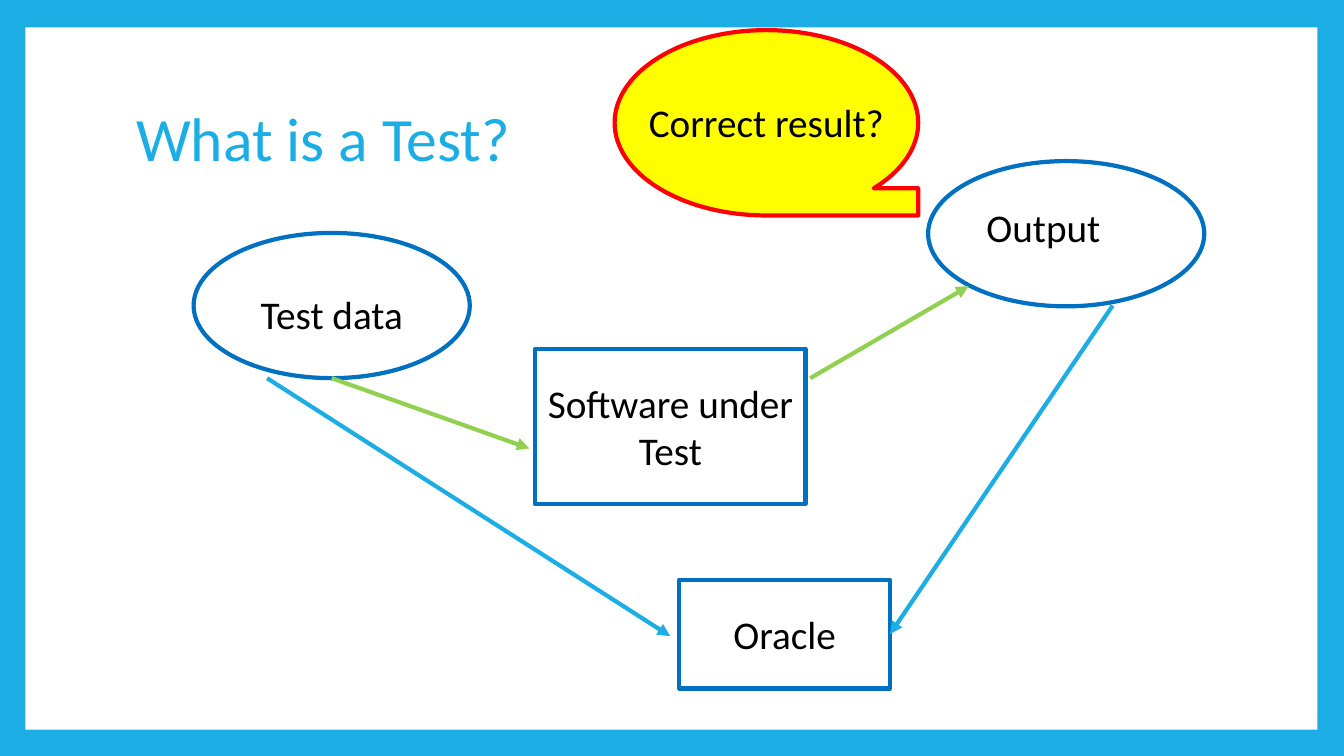
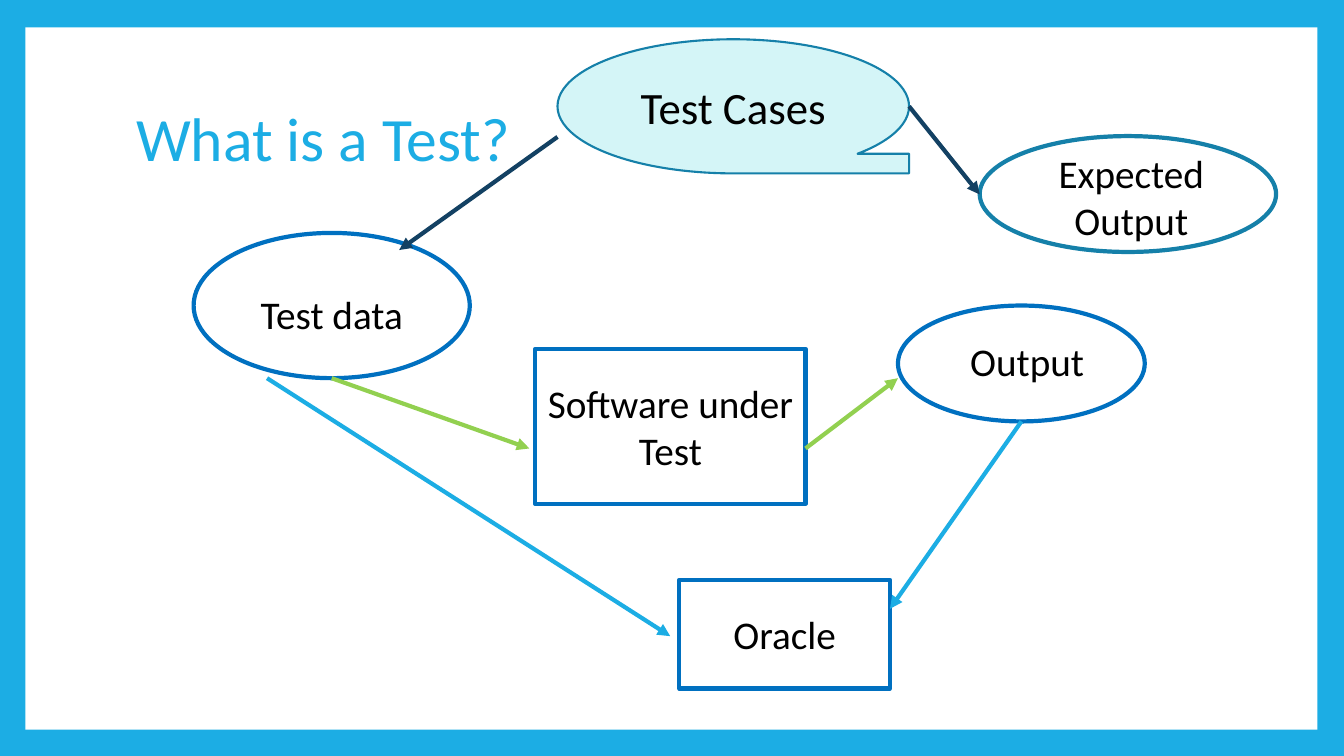
import pptx
import pptx.util
import pptx.dml.color
import pptx.enum.shapes
import pptx.enum.text
import pptx.oxml.ns
from lxml import etree

Cm, Pt = pptx.util.Cm, pptx.util.Pt
SHAPE = pptx.enum.shapes.MSO_SHAPE
STRAIGHT = pptx.enum.shapes.MSO_CONNECTOR.STRAIGHT
ALIGN = pptx.enum.text.PP_ALIGN
MIDDLE = pptx.enum.text.MSO_ANCHOR.MIDDLE
TOP = pptx.enum.text.MSO_ANCHOR.TOP

COLORS = {
    "sky": "1CADE4", "white": "FFFFFF", "black": "000000", "blue": "0070C0",
    "green": "92D050", "yellow": "FFFF00", "red": "FF0000", "teal": "1580A9",
    "aqua": "D4F5F7", "navy": "134163",
}
FONT = "Calibri"
BODY_SIZE = 28
TITLE = "What is a Test?"
TITLE_BOX = (3.18, 1.70, 27.43, 3.76)
PANEL_BOX = (0.64, 0.69, 32.56, 17.70)
RIGHT = 3

# name: (preset, box, fill, line colour, line width, text, text size)
SHARED_NODES = {
    "software": (SHAPE.RECTANGLE, (13.49, 8.79, 6.81, 3.91), "white", "blue", 3, "Software under Test", BODY_SIZE),
    "data": (SHAPE.OVAL, (4.88, 5.87, 6.96, 3.66), None, "blue", 3, "", BODY_SIZE),
    "oracle": (SHAPE.RECTANGLE, (17.12, 14.61, 5.31, 2.74), "white", "blue", 3, "Oracle", BODY_SIZE),
}
SHARED_LABELS = [("Test data", (6.20, 7.19, 4.32, 1.45))]
SHARED_ARROWS = [
    ((8.36, 9.53), (13.34, 11.30), "green"),
    ((6.73, 9.53), (16.89, 16.03), "sky"),
]

SLIDES = [
    {
        "nodes": {
            "output": (SHAPE.OVAL, (23.39, 4.06, 6.96, 3.66), None, "blue", 3, "", BODY_SIZE),
            "question": (SHAPE.FLOWCHART_SEQUENTIAL_ACCESS_STORAGE, (15.49, 0.76, 7.65, 4.67),
                         "yellow", "red", 3, "", BODY_SIZE),
        },
        "labels": [
            ("Output", (24.54, 5.00, 3.51, 1.45)),
            ("Correct result?", (16.05, 2.36, 6.53, 1.45)),
        ],
        "arrows": [
            ((20.42, 9.53), (24.41, 7.21), "green"),
            ((28.04, 7.70), ("oracle", RIGHT), "sky"),
        ],
    },
    {
        "nodes": {
            "output": (SHAPE.OVAL, (22.63, 7.70, 6.22, 2.92), None, "blue", 3, "", BODY_SIZE),
            "expected": (SHAPE.OVAL, (24.69, 3.43, 7.47, 2.92), None, "teal", 3, "", BODY_SIZE),
            "cases": (SHAPE.FLOWCHART_SEQUENTIAL_ACCESS_STORAGE, (14.05, 0.99, 8.86, 3.38),
                      "aqua", "teal", 1.5, "Test Cases", 32),
        },
        "labels": [
            ("Output", (24.13, 8.38, 3.51, 1.45)),
            ("Expected\nOutput", (26.34, 3.63, 4.34, 2.64)),
        ],
        "arrows": [
            ((20.30, 11.30), (22.63, 9.53), "green"),
            ((25.74, 10.62), (22.43, 15.34), "sky"),
            (("cases", RIGHT), (24.69, 4.90), "navy"),
            ((14.05, 3.45), (10.06, 6.30), "navy"),
        ],
    },
]


def rgb(name):
    return pptx.dml.color.RGBColor.from_string(COLORS[name])


def lengths(values):
    return [Cm(value) for value in values]


def write(frame, text, size, color="black", align=ALIGN.CENTER, anchor=MIDDLE, wrap=True, spacing=None):
    frame.word_wrap = wrap
    frame.vertical_anchor = anchor
    for index, words in enumerate(text.split("\n")):
        paragraph = frame.add_paragraph() if index else frame.paragraphs[0]
        paragraph.alignment = align
        paragraph.line_spacing = spacing
        run = paragraph.add_run()
        run.text = words
        run.font.name = FONT
        run.font.size = Pt(size)
        run.font.color.rgb = rgb(color)


def add_node(slide, preset, box, fill, line, width, text, size):
    node = slide.shapes.add_shape(preset, *lengths(box))
    node.shadow.inherit = False
    if fill:
        node.fill.solid()
        node.fill.fore_color.rgb = rgb(fill)
    else:
        node.fill.background()
    if line:
        node.line.color.rgb = rgb(line)
        node.line.width = Pt(width)
    else:
        node.line.fill.background()
    if text:
        write(node.text_frame, text, size)
    return node


def add_arrow(slide, nodes, start, end, color):
    points = [(0, 0) if isinstance(point[0], str) else point for point in (start, end)]
    arrow = slide.shapes.add_connector(STRAIGHT, *lengths(points[0] + points[1]))
    for point, connect in ((start, arrow.begin_connect), (end, arrow.end_connect)):
        if isinstance(point[0], str):
            connect(nodes[point[0]], point[1])
    arrow.line.color.rgb = rgb(color)
    arrow.line.width = Pt(3)
    qn = pptx.oxml.ns.qn
    etree.SubElement(arrow.line._get_or_add_ln(), qn("a:tailEnd"), type="triangle")
    etree.SubElement(arrow._element.spPr, qn("a:effectLst"))


def add_frame(slide):
    add_node(slide, SHAPE.RECTANGLE, PANEL_BOX, "white", None, 0, "", BODY_SIZE)
    title = slide.shapes.add_textbox(*lengths(TITLE_BOX))
    write(title.text_frame, TITLE, 44, "sky", ALIGN.LEFT, spacing=0.9)


def build_slide(presentation, content):
    slide = presentation.slides.add_slide(presentation.slide_layouts[6])
    add_frame(slide)
    nodes = {name: add_node(slide, *details)
             for name, details in (SHARED_NODES | content["nodes"]).items()}
    for text, box in SHARED_LABELS + content["labels"]:
        label = slide.shapes.add_textbox(*lengths(box))
        write(label.text_frame, text, BODY_SIZE, anchor=TOP, wrap=False)
    for start, end, color in SHARED_ARROWS + content["arrows"]:
        add_arrow(slide, nodes, start, end, color)


def main():
    presentation = pptx.Presentation()
    presentation.slide_width, presentation.slide_height = lengths((33.87, 19.05))
    backdrop = presentation.slide_master.background.fill
    backdrop.solid()
    backdrop.fore_color.rgb = rgb("sky")
    for content in SLIDES:
        build_slide(presentation, content)
    presentation.save("out.pptx")


if __name__ == "__main__":
    main()
